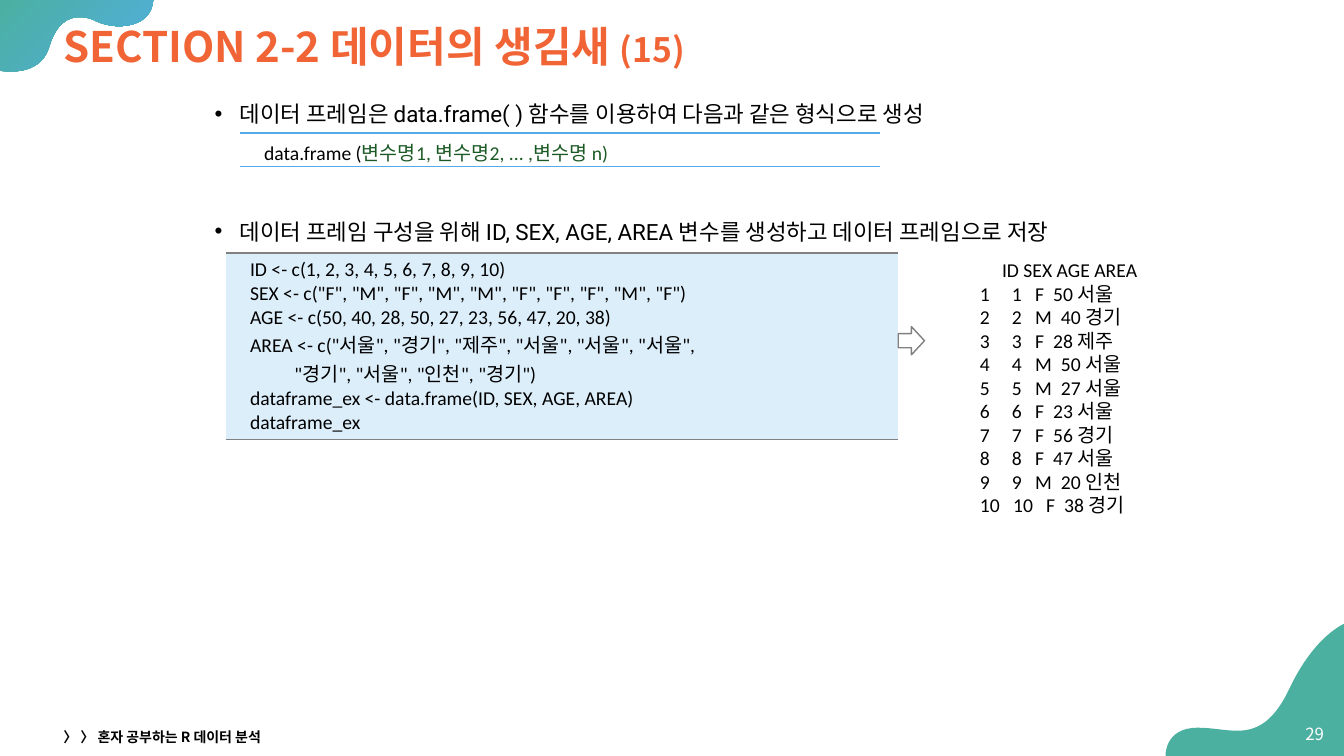
from lxml import etree
from pptx import Presentation
from pptx.dml.color import RGBColor
from pptx.enum.shapes import MSO_SHAPE
from pptx.enum.text import MSO_ANCHOR, PP_ALIGN
from pptx.oxml import parse_xml
from pptx.oxml.ns import nsdecls, qn
from pptx.util import Inches, Pt

RIGHT_ARROW = MSO_SHAPE.RIGHT_ARROW
TOP, MIDDLE = MSO_ANCHOR.TOP, MSO_ANCHOR.MIDDLE
LEFT, RIGHT = PP_ALIGN.LEFT, PP_ALIGN.RIGHT

TEAL = RGBColor(0x4B, 0xB0, 0xA0)
SKY = RGBColor(0x52, 0xAE, 0xE1)
ORANGE = RGBColor(0xF0, 0x64, 0x36)
BLACK = RGBColor(0, 0, 0)
WHITE = RGBColor(0xFF, 0xFF, 0xFF)
GRAY = RGBColor(0x80, 0x80, 0x80)
RULE_BLUE = RGBColor(0x55, 0xAA, 0xEA)
CODE_BLUE = RGBColor(0xDD, 0xEE, 0xFB)
GREEN = RGBColor(0x1C, 0x5A, 0x25)
NOTO = "Noto Sans CJK KR"


def style(font, size, latin, color, bold=False, asian=NOTO, kern=0):
    font.size = Pt(size)
    font.bold = bold
    font.color.rgb = color
    font.name = latin
    font._element.set("kern", str(kern))
    etree.SubElement(font._element, qn("a:ea")).set("typeface", asian)


def add_text(left, top, width, height, lines, anchor=TOP, align=LEFT):
    frame = slide.shapes.add_textbox(
        Inches(left), Inches(top), Inches(width), Inches(height)).text_frame
    frame.word_wrap = True
    frame.vertical_anchor = anchor
    frame.text = "\n".join(lines)
    for paragraph in frame.paragraphs:
        paragraph.alignment = align
    return frame.paragraphs


prs = Presentation()
prs.slide_width, prs.slide_height = Inches(13.33), Inches(7.5)
slide = prs.slides.add_slide(prs.slide_layouts[6])

top_wave = [
    (1.52, -0.02), (-0.01, -0.02), (-0.01, 0.7),
    (-0.01, 0.7, 0.04, 0.71, 0.11, 0.71),
    (0.24, 0.71, 0.43, 0.67, 0.49, 0.46),
    (0.56, 0.23, 0.68, 0.17, 0.79, 0.17),
    (0.84, 0.17, 0.89, 0.18, 0.93, 0.2),
    (1.01, 0.24, 1.1, 0.26, 1.18, 0.26),
    (1.37, 0.26, 1.52, 0.17, 1.52, -0.02),
]
bottom_wave = [
    (13.35, 6.18),
    (13.35, 6.18, 13.04, 6.29, 12.78, 6.85),
    (12.62, 7.18, 12.45, 7.25, 12.27, 7.25),
    (12.15, 7.25, 12.02, 7.22, 11.88, 7.22),
    (11.54, 7.22, 11.56, 7.51, 11.56, 7.51),
    (13.35, 7.51),
]
for outline in (top_wave, bottom_wave):
    anchors = [(Inches(segment[-2]), Inches(segment[-1])) for segment in outline]
    builder = slide.shapes.build_freeform(*anchors[0])
    builder.add_line_segments(anchors[1:], close=True)
    wave = builder.convert_to_shape()
    lines = list(wave._element.iter(qn("a:lnTo")))
    for line, segment in zip(lines, outline[1:]):
        if len(segment) == 6:
            line.tag = qn("a:cubicBezTo")
            line.clear()
            for x, y in zip(segment[::2], segment[1::2]):
                point = etree.SubElement(line, qn("a:pt"))
                point.set("x", str(Inches(x) - wave.left))
                point.set("y", str(Inches(y) - wave.top))
    wave.shadow.inherit = False
    wave.line.fill.background()
    if outline is top_wave:
        wave.fill.gradient()
        wave.fill.gradient_angle = 315
        for stop, color, position in zip(wave.fill.gradient_stops, (TEAL, SKY), (0, 1)):
            stop.color.rgb = color
            stop.position = position
    else:
        wave.fill.solid()
        wave.fill.fore_color.rgb = TEAL

title = add_text(0.53, 0.12, 12.34, 0.73, [""], MIDDLE)[0]
title.line_spacing = 0.9
for words, size in (("SECTION 2-2 데이터의 생김새 ", 30), ("(15)", 24)):
    run = title.add_run()
    run.text = words
    style(run.font, size, NOTO, ORANGE, True)

page_number = add_text(12.79, 7.08, 0.44, 0.4, ["29"], MIDDLE, RIGHT)[0]
style(page_number.font, 12, NOTO, WHITE)
book_title = add_text(0.53, 7.19, 4.5, 0.24, ["〉 〉 혼자 공부하는 R 데이터 분석"], MIDDLE)[0]
style(book_title.font, 10, NOTO, BLACK, True)

explanations = add_text(0.53, 0.89, 12.34, 5.75, [
    "데이터 프레임은 data.frame( ) 함수를 이용하여 다음과 같은 형식으로 생성",
    "데이터 프레임 구성을 위해 ID, SEX, AGE, AREA 변수를 생성하고 데이터 프레임으로 저장",
])
for index, paragraph in enumerate(explanations):
    paragraph.line_spacing = 1.2
    paragraph.space_before = Pt(61 * index)
    properties = paragraph._p.get_or_add_pPr()
    properties.set("marL", str(Inches(1.75)))
    properties.set("indent", str(Inches(-0.25)))
    etree.SubElement(properties, qn("a:buFont")).set("typeface", "Arial")
    etree.SubElement(properties, qn("a:buChar")).set("char", "•")
    style(paragraph.font, 16, "Roboto", BLACK)

code_lines = [
    "ID <- c(1, 2, 3, 4, 5, 6, 7, 8, 9, 10)",
    'SEX <- c("F", "M", "F", "M", "M", "F", "F", "F", "M", "F")',
    "AGE <- c(50, 40, 28, 50, 27, 23, 56, 47, 20, 38)",
    'AREA <- c("서울", "경기", "제주", "서울", "서울", "서울",',
    '          "경기", "서울", "인천", "경기")',
    "dataframe_ex <- data.frame(ID, SEX, AGE, AREA)",
    "dataframe_ex",
]
code_cells = []
for left, top, width, height, rule in ((2.24, 2.51, 6.67, 1.85, GRAY),
                                       (2.38, 1.32, 6.35, 0.32, RULE_BLUE)):
    table = slide.shapes.add_table(
        1, 1, Inches(left), Inches(top), Inches(width), Inches(height)).table
    table.first_row = table.horz_banding = False
    cell = table.cell(0, 0)
    cell.margin_left, cell.margin_right = Inches(0.24), Inches(0.1)
    cell.margin_top = cell.margin_bottom = Inches(0.05)
    for side in ("lnL", "lnR", "lnT", "lnB"):
        paint = "<a:noFill/>"
        if side in ("lnT", "lnB"):
            paint = f'<a:solidFill><a:srgbClr val="{rule}"/></a:solidFill>'
        cell._tc.get_or_add_tcPr().append(parse_xml(
            f'<a:{side} {nsdecls("a")} w="{Pt(1)}">{paint}</a:{side}>'))
    code_cells.append(cell)
code_cell, syntax_cell = code_cells

code_cell.fill.solid()
code_cell.fill.fore_color.rgb = CODE_BLUE
code_cell.text_frame.text = "\n".join(code_lines)
for paragraph in code_cell.text_frame.paragraphs:
    style(paragraph.font, 14, "Calibri", BLACK, kern=1200)

syntax_cell.fill.background()
for words, color in (("data.frame (", BLACK), ("변수명1, 변수명2, ... ,변수명 n)", GREEN)):
    run = syntax_cell.text_frame.paragraphs[0].add_run()
    run.text = words
    style(run.font, 14, "Calibri", color)

arrow = slide.shapes.add_shape(
    RIGHT_ARROW, Inches(8.91), Inches(3.24), Inches(0.26), Inches(0.28))
arrow.shadow.inherit = False
arrow.fill.background()
arrow.line.color.rgb = GRAY
arrow.line.width = Pt(1)

output_lines = [
    "     ID SEX AGE AREA",
    "1     1   F  50 서울",
    "2     2   M  40 경기",
    "3     3   F  28 제주",
    "4     4   M  50 서울",
    "5     5   M  27 서울",
    "6     6   F  23 서울",
    "7     7   F  56 경기",
    "8     8   F  47 서울",
    "9     9   M  20 인천",
    "10   10   F  38 경기",
]
for paragraph in add_text(9.62, 2.51, 3.02, 2.69, output_lines):
    style(paragraph.font, 14, "Calibri", BLACK, asian="Calibri", kern=1200)

prs.save("out.pptx")
